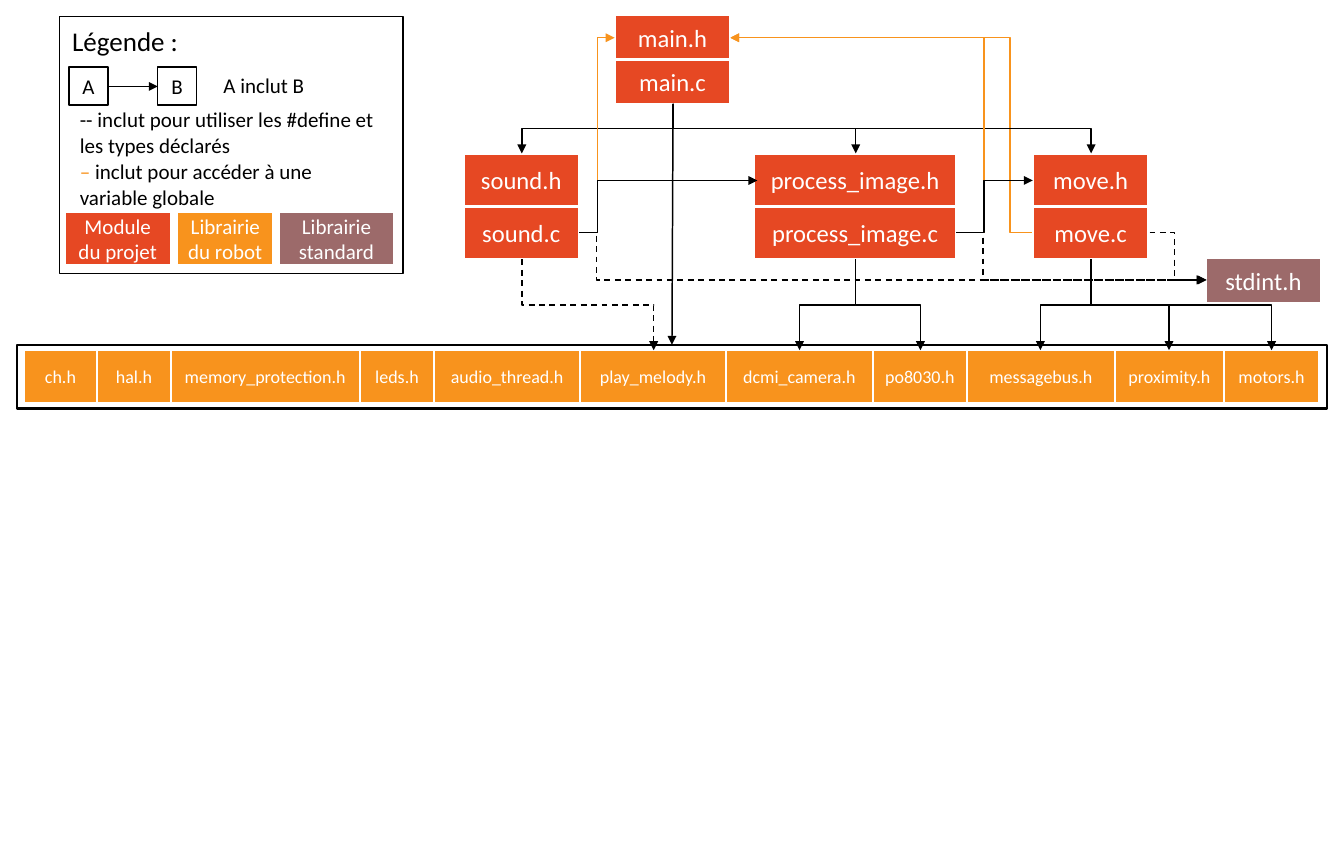
import pptx
import pptx.util
import pptx.dml.color
import pptx.enum.dml
import pptx.enum.shapes
import pptx.enum.text
import pptx.oxml
import pptx.oxml.ns

Inches = pptx.util.Inches
FONT = "Calibri"
RED, ORANGE, MAUVE = "E64823", "F8931D", "9C6A6A"
BLACK, WHITE = "000000", "FFFFFF"

# Module: left, top, width, height of one file; the .c file sits under the .h file
MODULES = {
    "main": (5.69, 0.14, 1.07, 0.41),
    "process_image": (6.98, 1.42, 1.87, 0.49),
    "sound": (4.29, 1.42, 1.07, 0.49),
    "move": (9.56, 1.42, 1.07, 0.49),
}
LIBRARY_LEFT, LIBRARY_TOP, LIBRARY_HEIGHT = 0.22, 3.24, 0.49
LIBRARIES = [
    ("ch.h", 0.68), ("hal.h", 0.68), ("memory_protection.h", 1.75),
    ("leds.h", 0.69), ("audio_thread.h", 1.35), ("play_melody.h", 1.35),
    ("dcmi_camera.h", 1.36), ("po8030.h", 0.87), ("messagebus.h", 1.37),
    ("proximity.h", 1.01), ("motors.h", 0.88),
]
# Includes leaving downwards: start, end, dashed
DOWNWARD = [
    *[((6.23, 0.96), (x, 1.42), False) for x in (4.83, 7.92, 10.1)],
    ((4.83, 2.4), (6.05, 3.24), True),
    *[((7.92, 2.4), (x, 3.24), False) for x in (7.4, 8.52)],
    *[((10.1, 2.4), (x, 3.24), False) for x in (9.63, 10.82, 11.77)],
]
# Includes leaving sideways: start, end, x of the bend, colour, dashed
MOVE_TO_MAIN = ((9.56, 2.15), (6.76, 0.35), 9.35, ORANGE, False)
SIDEWAYS = [
    ((5.36, 2.15), (5.69, 0.35), 5.53, ORANGE, False),
    ((8.85, 2.15), (6.76, 0.35), 9.11, ORANGE, False),
    ((8.85, 2.15), (9.56, 1.67), 9.11, BLACK, False),
    ((5.39, 2.15), (7.01, 1.67), 5.53, BLACK, False),
    ((5.36, 2.15), (11.16, 2.59), 5.52, BLACK, True),
    ((8.86, 2.15), (11.17, 2.59), 9.1, BLACK, True),
    ((10.64, 2.15), (11.16, 2.59), 10.87, BLACK, True),
]
# Legend texts: left, top, width, height, size, wrap, runs
LEGEND_TEXTS = [
    (0.64, 0.94, 2.92, 0.57, 14, True,
     [("-- inclut pour utiliser les #define et les types déclarés", BLACK)]),
    (0.64, 1.42, 2.92, 0.57, 14, True,
     [("–", ORANGE), (" inclut pour accéder à une variable globale", BLACK)]),
    (1.97, 0.62, 0.96, 0.34, 14, False, [("A inclut B", BLACK)]),
    (0.57, 0.18, 1.2, 0.4, 18, False, [("Légende :", BLACK)]),
]
LEGEND_KEYS = [
    ("Module du projet", 0.6, 0.98, RED),
    ("Librairie du robot", 1.64, 0.89, ORANGE),
    ("Librairie standard", 2.58, 1.07, MAUVE),
]

deck = pptx.Presentation()
deck.slide_width, deck.slide_height = Inches(12.44), Inches(7.79)
slide = deck.slides.add_slide(deck.slide_layouts[6])


def rgb(value):
    """Turn a hex string into a colour."""
    return pptx.dml.color.RGBColor.from_string(value)


def write(paragraph, words, size, colour):
    """Add one run to a paragraph."""
    run = paragraph.add_run()
    run.text = words
    run.font.name, run.font.size = FONT, pptx.util.Pt(size)
    run.font.color.rgb = rgb(colour)


def box(left, top, width, height, words="", fill=None, size=16.4,
        colour=WHITE, line=WHITE, weight=1.5):
    """Draw a process box with an optional fill and centred words."""
    process = slide.shapes.add_shape(
        pptx.enum.shapes.MSO_SHAPE.FLOWCHART_PROCESS,
        Inches(left), Inches(top), Inches(width), Inches(height))
    process.shadow.inherit = False
    if fill:
        process.fill.solid()
        process.fill.fore_color.rgb = rgb(fill)
    else:
        process.fill.background()
    process.line.color.rgb = rgb(line)
    process.line.width = pptx.util.Pt(weight)
    if words:
        frame = process.text_frame
        frame.word_wrap = True
        frame.vertical_anchor = pptx.enum.text.MSO_ANCHOR.MIDDLE
        frame.paragraphs[0].alignment = pptx.enum.text.PP_ALIGN.CENTER
        write(frame.paragraphs[0], words, size, colour)


def arrow(start, end, colour=BLACK, dashed=False, bend=None):
    """Draw an arrow; bend is the share of its width where an elbow turns."""
    kinds = pptx.enum.shapes.MSO_CONNECTOR
    link = slide.shapes.add_connector(
        kinds.STRAIGHT if bend is None else kinds.ELBOW,
        *[Inches(value) for value in (*start, *end)])
    link.line.color.rgb = rgb(colour)
    link.line.width = pptx.util.Pt(1)
    if dashed:
        link.line.dash_style = pptx.enum.dml.MSO_LINE.DASH
    qn, parse_xml = pptx.oxml.ns.qn, pptx.oxml.parse_xml
    namespace = pptx.oxml.ns.nsdecls("a")
    properties = link.element.spPr
    properties.find(qn("a:ln")).append(
        parse_xml(f'<a:tailEnd {namespace} type="triangle"/>'))
    properties.append(parse_xml(f"<a:effectLst {namespace}/>"))
    if bend is not None:
        properties.find(f".//{qn('a:avLst')}").append(parse_xml(
            f'<a:gd {namespace} name="adj1" fmla="val {round(bend * 100000)}"/>'))
    return link


def sideways(start, end, bend_x, colour, dashed):
    """Draw an elbow that leaves sideways and turns at bend_x."""
    arrow(start, end, colour, dashed, (bend_x - start[0]) / (end[0] - start[0]))


def downward(start, end, dashed):
    """Draw an elbow that leaves downwards, as a sideways one turned round."""
    middle_x, middle_y = (start[0] + end[0]) / 2, (start[1] + end[1]) / 2
    spread = abs(end[0] - start[0]) / 2
    leftward = end[0] < start[0]
    reach = (end[1] - start[1]) / 2 * (1 if leftward else -1)
    link = arrow((middle_x - reach, middle_y - spread),
                 (middle_x + reach, middle_y + spread), BLACK, dashed, 0.5)
    link.rotation = 90 if leftward else 270


sideways(*MOVE_TO_MAIN)
for module, (left, top, width, height) in MODULES.items():
    for row, extension in enumerate("hc"):
        box(left, top + row * height, width, height, f"{module}.{extension}", RED)
box(11.16, 2.39, 1.07, 0.41, "stdint.h", MAUVE)

library_left = LIBRARY_LEFT
for library, width in LIBRARIES:
    box(library_left, LIBRARY_TOP, width, LIBRARY_HEIGHT, library, ORANGE, 12)
    library_left += width
box(0.16, 3.19, 12.12, 0.59, line=BLACK)

for route in DOWNWARD:
    downward(*route)
arrow((6.23, 0.96), (6.22, 3.19))
for route in SIDEWAYS:
    sideways(*route)

box(0.55, 0.15, 3.18, 2.38, line=BLACK, weight=0.75)
for left, top, width, height, size, wrap, runs in LEGEND_TEXTS:
    caption = slide.shapes.add_textbox(
        Inches(left), Inches(top), Inches(width), Inches(height)).text_frame
    caption.word_wrap = wrap
    for words, colour in runs:
        write(caption.paragraphs[0], words, size, colour)
for letter, left in (("A", 0.64), ("B", 1.46)):
    box(left, 0.62, 0.36, 0.35, letter, WHITE, 14, BLACK, BLACK, 1)
arrow((1, 0.8), (1.46, 0.8))
for words, left, width, fill in LEGEND_KEYS:
    box(left, 1.96, width, 0.49, words, fill, 14)

deck.save("out.pptx")
